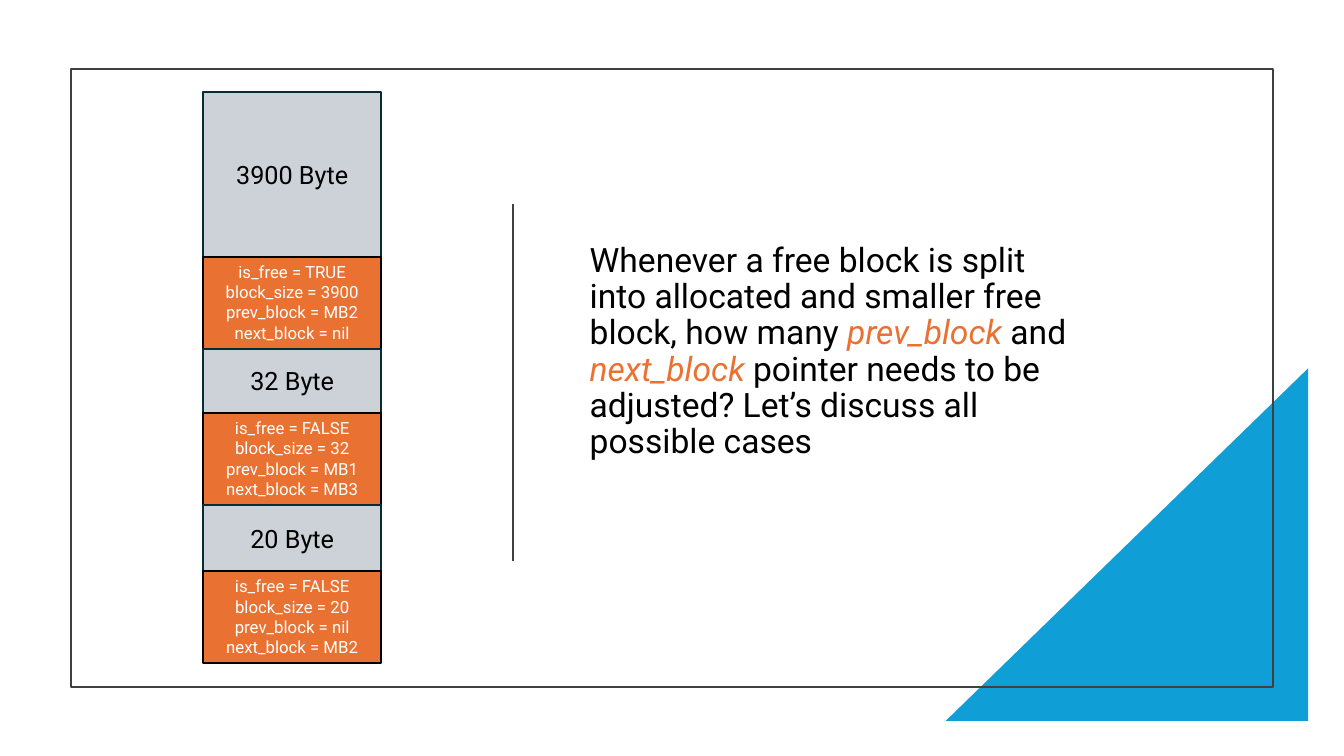
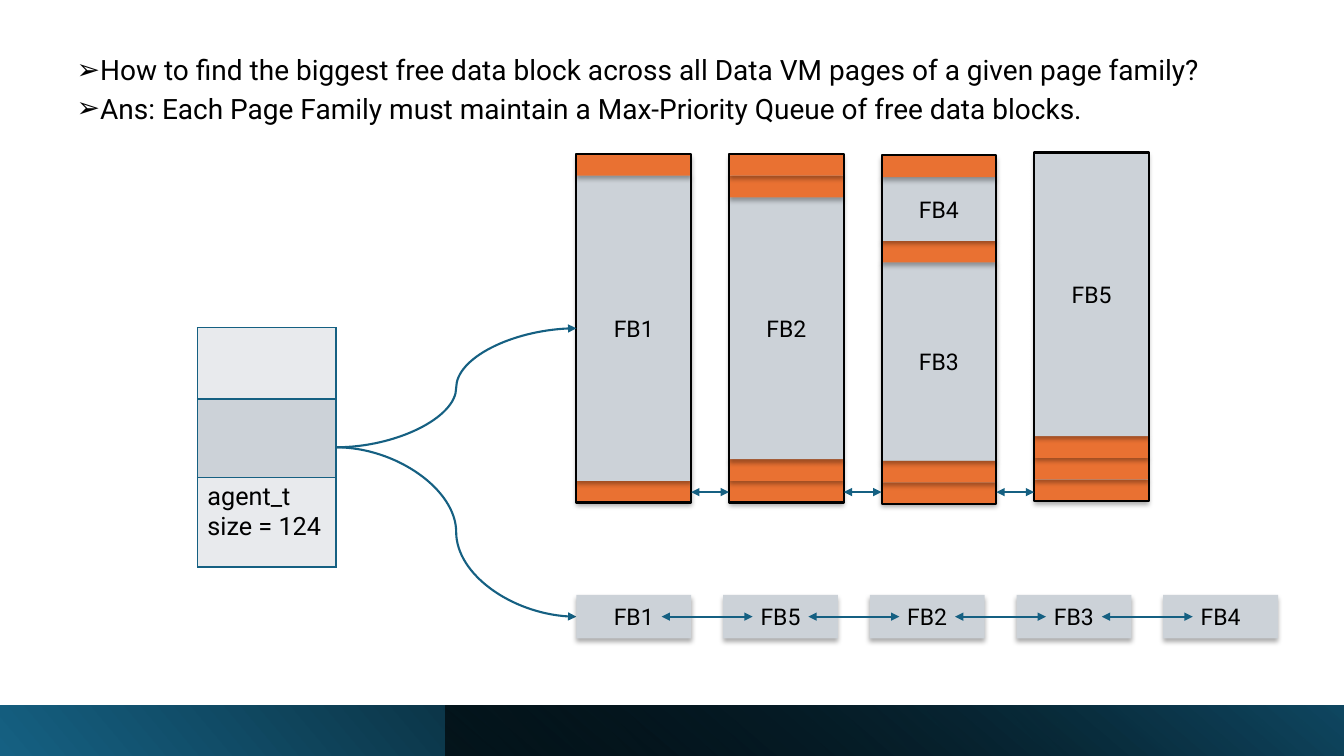
from dataclasses import dataclass
from typing import NamedTuple

from lxml.etree import SubElement
from pptx import Presentation
from pptx.dml.color import RGBColor
from pptx.enum.shapes import MSO_CONNECTOR, MSO_SHAPE
from pptx.enum.text import MSO_ANCHOR, MSO_AUTO_SIZE, PP_ALIGN
from pptx.oxml.ns import qn
from pptx.util import Pt

RECT, RIGHT_TRIANGLE = MSO_SHAPE.RECTANGLE, MSO_SHAPE.RIGHT_TRIANGLE
STRAIGHT, CURVE = MSO_CONNECTOR.STRAIGHT, MSO_CONNECTOR.CURVE
TOP, MIDDLE = MSO_ANCHOR.TOP, MSO_ANCHOR.MIDDLE
LEFT, CENTER = PP_ALIGN.LEFT, PP_ALIGN.CENTER

FONT = "Roboto"
BLACK = RGBColor(0x00, 0x00, 0x00)
WHITE = RGBColor(0xFF, 0xFF, 0xFF)
ORANGE = RGBColor(0xE9, 0x71, 0x32)
GREY = RGBColor(0xCC, 0xD2, 0xD8)
PALE = RGBColor(0xE8, 0xEA, 0xED)
SKY = RGBColor(0x0F, 0x9E, 0xD5)
TEAL = RGBColor(0x15, 0x60, 0x82)
DEEP_TEAL = RGBColor(0x10, 0x48, 0x62)
NAVY = RGBColor(0x09, 0x2A, 0x39)
CHARCOAL = RGBColor(0x40, 0x40, 0x40)

LINE_WIDTH = 1.5


class Box(NamedTuple):
    left: float
    top: float
    width: float
    height: float

    def lengths(self) -> list:
        return [Pt(value) for value in self]


class Span(NamedTuple):
    text: str
    color: RGBColor = BLACK
    italic: bool = False


@dataclass
class MemoryBlock:
    size: int
    height: float
    is_free: str
    prev_block: str
    next_block: str

    def header(self) -> list:
        return [f"is_free = {self.is_free}", f"block_size = {self.size}",
                f"prev_block = {self.prev_block}", f"next_block = {self.next_block}"]


@dataclass
class FreeBlock:
    label: str
    height: float


@dataclass
class VmPage:
    top: float
    segments: list  # top to bottom; None is a block header


# Content
MEMORY_BLOCKS = [
    MemoryBlock(3900, 118, "TRUE", "MB2", "nil"),
    MemoryBlock(32, 46, "FALSE", "MB1", "MB3"),
    MemoryBlock(20, 47.5, "FALSE", "nil", "MB2"),
]
SPLIT_QUESTION = [
    Span("Whenever a free block is split into allocated and smaller free block, how many "),
    Span("prev_block ", ORANGE, True),
    Span("and "),
    Span("next_block ", ORANGE, True),
    Span("pointer needs to be adjusted? Let’s discuss all possible cases"),
]
QUEUE_NOTES = [
    "How to find the biggest free data block across all Data VM pages of a given page family?",
    "Ans: Each Page Family must maintain a Max-Priority Queue of free data blocks.",
]
VM_PAGES = [
    VmPage(110, [None, FreeBlock("FB1", 218), None]),
    VmPage(110, [None, None, FreeBlock("FB2", 187), None, None]),
    VmPage(111, [None, FreeBlock("FB4", 45.5), None, FreeBlock("FB3", 141.5), None, None]),
    VmPage(109, [FreeBlock("FB5", 202.5), None, None, None]),
]
QUEUE = ["FB1", "FB5", "FB2", "FB3", "FB4"]
FAMILY_ROWS = [(51, PALE, []), (56, GREY, []), (64, PALE, ["agent_t", "size = 124"])]


# Shared helpers
def write_text(frame, paragraphs: list, *, size: float, color: RGBColor = BLACK,
               align=LEFT, anchor=TOP, spacing: float = 1.0, after: float = 0,
               bullet: str = "", hang: float = 0) -> None:
    """Fill a text frame; a paragraph is a string or a list of spans."""
    frame.word_wrap = True
    frame.auto_size = MSO_AUTO_SIZE.NONE
    frame.vertical_anchor = anchor
    for index, content in enumerate(paragraphs):
        paragraph = frame.add_paragraph() if index else frame.paragraphs[0]
        paragraph.alignment = align
        paragraph.line_spacing = spacing
        paragraph.space_before, paragraph.space_after = Pt(0), Pt(after)
        properties = paragraph._p.get_or_add_pPr()
        properties.set("marL", str(Pt(hang)))
        properties.set("indent", str(-Pt(hang)))
        if bullet:
            SubElement(properties, qn("a:buFont"), typeface="Arial")
            SubElement(properties, qn("a:buChar"), char=bullet)
        else:
            SubElement(properties, qn("a:buNone"))
        spans = [Span(content, color)] if isinstance(content, str) else content
        for span in spans:
            run = paragraph.add_run()
            run.text = span.text
            run.font.name, run.font.size = FONT, Pt(size)
            run.font.color.rgb, run.font.italic = span.color, span.italic


def add_box(slide, box: Box, *, fill: RGBColor | None = None, line: RGBColor | None = None,
            kind=RECT, shadow: bool = False):
    shape = slide.shapes.add_shape(kind, *box.lengths())
    if fill is None:
        shape.fill.background()
    else:
        shape.fill.solid()
        shape.fill.fore_color.rgb = fill
    if line is None:
        shape.line.fill.background()
    else:
        shape.line.color.rgb, shape.line.width = line, Pt(LINE_WIDTH)
    shape.shadow.inherit = False
    if shadow:
        effects = shape._element.spPr.find(qn("a:effectLst"))
        outer = SubElement(effects, qn("a:outerShdw"), blurRad=str(Pt(3.5)),
                           dist=str(Pt(2.2)), dir="5400000", rotWithShape="0")
        tone = SubElement(outer, qn("a:srgbClr"), val=str(BLACK))
        SubElement(tone, qn("a:alpha"), val="32000")
    return shape


def add_line(slide, start: tuple, end: tuple, *, color: RGBColor = TEAL, kind=STRAIGHT,
             heads: tuple = ()) -> None:
    """Draw a connector; heads names its arrow ends, headEnd before tailEnd."""
    connector = slide.shapes.add_connector(kind, *[Pt(value) for value in start + end])
    connector.line.color.rgb, connector.line.width = color, Pt(LINE_WIDTH)
    for head in heads:
        SubElement(connector.line._get_or_add_ln(), qn(f"a:{head}"), type="triangle")
    SubElement(connector._element.spPr, qn("a:effectLst"))


def add_double_arrow(slide, left: float, right: float, y: float) -> None:
    add_line(slide, (left, y), (right, y), heads=("headEnd", "tailEnd"))


def new_slide(deck, body_box: Box):
    """Add a slide that keeps only its body placeholder."""
    slide = deck.slides.add_slide(deck.slide_layouts[1])
    title = slide.shapes.title._element
    title.getparent().remove(title)
    body = slide.placeholders[1]
    body.left, body.top, body.width, body.height = body_box.lengths()
    return slide, body.text_frame


# Slide 1: splitting a block
def draw_memory_column(slide) -> None:
    left, width, header_height, top = 145, 127.5, 65.5, 65.5
    for block in MEMORY_BLOCKS:
        data = add_box(slide, Box(left, top, width, block.height), fill=GREY, line=NAVY)
        write_text(data.text_frame, [f"{block.size} Byte"], size=18, align=CENTER,
                   anchor=MIDDLE)
        top += block.height
        header = add_box(slide, Box(left, top, width, header_height), fill=ORANGE, line=BLACK)
        write_text(header.text_frame, block.header(), size=12, color=WHITE, align=CENTER)
        top += header_height


def build_split_slide(deck) -> None:
    slide, body = new_slide(deck, Box(414, 111.5, 370, 280))
    write_text(body, [SPLIT_QUESTION], size=24, anchor=MIDDLE, spacing=0.9)
    corner = add_box(slide, Box(675.5, 263, 259, 252), fill=SKY, kind=RIGHT_TRIANGLE)
    corner._element.spPr.xfrm.set("flipH", "1")
    add_box(slide, Box(50.5, 49, 859, 441.5), line=CHARCOAL)
    add_line(slide, (366.5, 146), (366.5, 401), color=CHARCOAL)
    draw_memory_column(slide)


# Slide 2: priority queue of free blocks
BLOCK_WIDTH = 82
PAGE_LEFT, PAGE_PITCH, PAGE_HEIGHT, HEADER_HEIGHT = 411.7, 109, 249, 15.5
QUEUE_PITCH, QUEUE_TOP, QUEUE_HEIGHT = 104.8, 425, 31
QUEUE_Y = 440.5


def draw_footer(slide) -> None:
    bands = [
        (Box(0, 504, 960, 36), TEAL, BLACK, 0.78, 40, 100),
        (Box(318, 504, 642, 36), BLACK, DEEP_TEAL, 1.0, 50, 63),
    ]
    for box, start, end, end_position, angle, opacity in bands:
        band = add_box(slide, box)
        band.fill.gradient()
        band.fill.gradient_angle = angle
        first, last = band.fill.gradient_stops
        first.color.rgb, first.position = start, 0
        last.color.rgb, last.position = end, end_position
        if opacity < 100:
            tone = band._element.spPr.find(".//" + qn("a:srgbClr"))
            SubElement(tone, qn("a:alpha"), val=str(opacity * 1000))


def draw_free_block(slide, label: str, box: Box) -> None:
    block = add_box(slide, box, fill=GREY, shadow=True)
    write_text(block.text_frame, [label], size=16.4, align=CENTER, anchor=MIDDLE)


def draw_pages(slide) -> None:
    for index, page in enumerate(VM_PAGES):
        left = PAGE_LEFT + index * PAGE_PITCH
        bottom = page.top + PAGE_HEIGHT
        # Bottom up, so that each shadow falls on the segment below
        for segment in reversed(page.segments):
            height = segment.height if segment else HEADER_HEIGHT
            bottom -= height
            box = Box(left, bottom, BLOCK_WIDTH, height)
            if segment:
                draw_free_block(slide, segment.label, box)
            else:
                add_box(slide, box, fill=ORANGE, shadow=True)
        add_box(slide, Box(left, page.top, BLOCK_WIDTH, PAGE_HEIGHT), line=BLACK)
        if index:
            add_double_arrow(slide, left - PAGE_PITCH + BLOCK_WIDTH, left, 351.5)


def draw_queue(slide) -> None:
    lefts = [PAGE_LEFT + index * QUEUE_PITCH for index in range(len(QUEUE))]
    for label, left in zip(QUEUE, lefts):
        draw_free_block(slide, label, Box(left, QUEUE_TOP, BLOCK_WIDTH, QUEUE_HEIGHT))
    for left in lefts[1:]:
        gap_middle = left - (QUEUE_PITCH - BLOCK_WIDTH) / 2
        add_double_arrow(slide, gap_middle - 32.5, gap_middle + 32.5, QUEUE_Y)


def draw_page_family(slide) -> None:
    box = Box(141, 234, 99, sum(height for height, _, _ in FAMILY_ROWS))
    family = slide.shapes.add_table(len(FAMILY_ROWS), 1, *box.lengths()).table
    family.first_row = family.horz_banding = False
    for index, (height, fill, lines) in enumerate(FAMILY_ROWS):
        family.rows[index].height = Pt(height)
        cell = family.cell(index, 0)
        write_text(cell.text_frame, lines, size=18)
        properties = cell._tc.get_or_add_tcPr()
        for side in ("lnL", "lnR", "lnT", "lnB"):
            border = SubElement(properties, qn(f"a:{side}"), w=str(Pt(1)))
            SubElement(SubElement(border, qn("a:solidFill")), qn("a:srgbClr"), val=str(TEAL))
        cell.fill.solid()
        cell.fill.fore_color.rgb = fill


def build_queue_slide(deck) -> None:
    slide, body = new_slide(deck, Box(47.5, 36.5, 836, 69))
    write_text(body, QUEUE_NOTES, size=20, spacing=0.9, after=6, bullet="➢", hang=16.5)
    draw_footer(slide)
    draw_pages(slide)
    draw_page_family(slide)
    for target_y in (234.5, QUEUE_Y):
        add_line(slide, (240, 319.5), (PAGE_LEFT, target_y), kind=CURVE, heads=("tailEnd",))
    draw_queue(slide)


def main() -> None:
    deck = Presentation()
    deck.slide_width, deck.slide_height = Pt(960), Pt(540)
    build_split_slide(deck)
    build_queue_slide(deck)
    deck.save("out.pptx")


if __name__ == "__main__":
    main()
